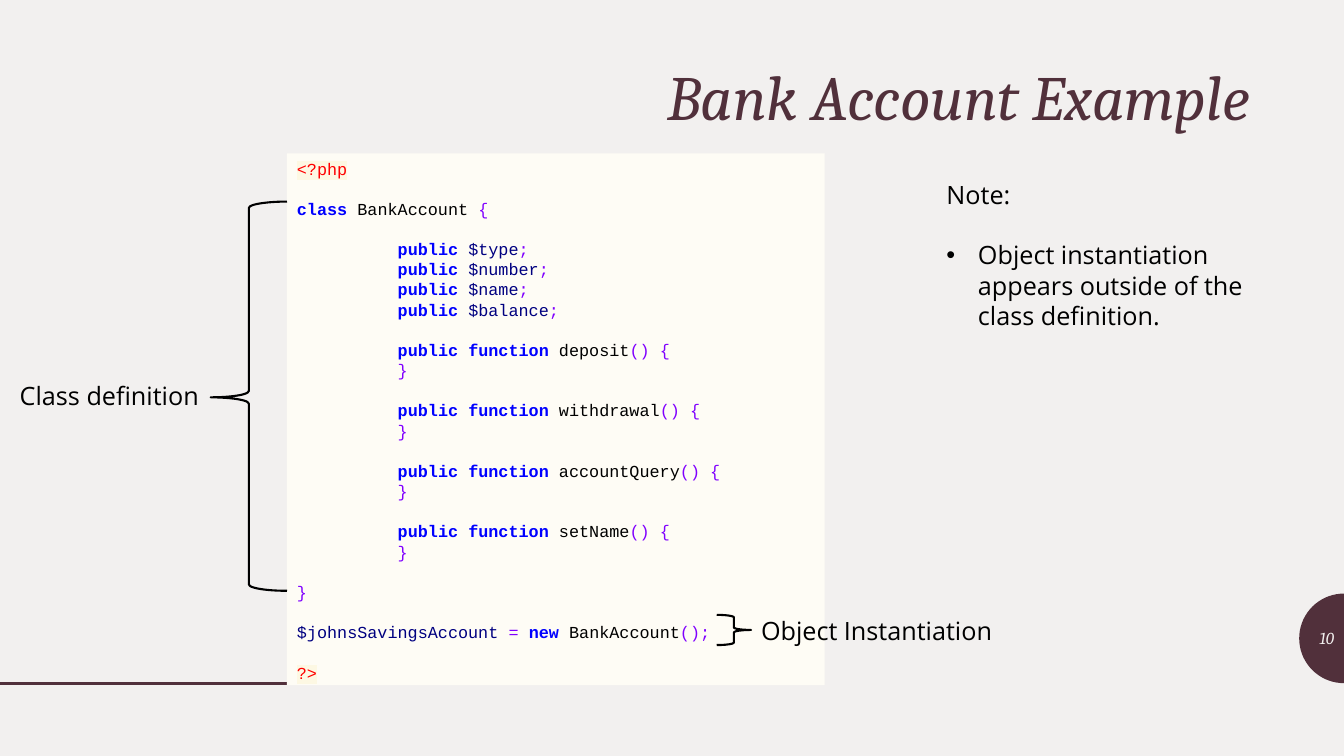
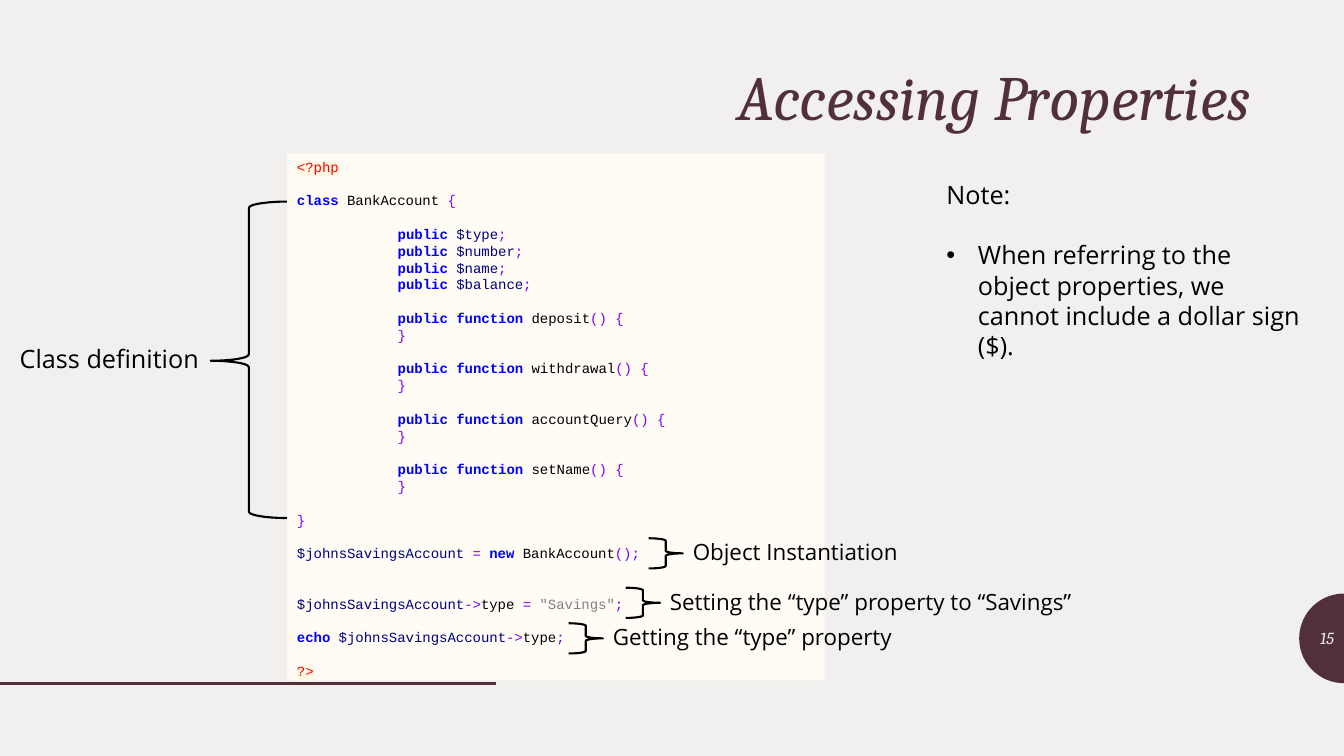
from itertools import groupby
from math import cos, radians, sin

from lxml.etree import SubElement
from pptx import Presentation
from pptx.dml.color import RGBColor
from pptx.enum.shapes import MSO_CONNECTOR, MSO_SHAPE
from pptx.enum.text import MSO_ANCHOR, PP_ALIGN
from pptx.oxml import parse_xml
from pptx.oxml.ns import nsdecls, qn
from pptx.util import Pt

PLUM = RGBColor(0x51, 0x30, 0x3B)
PAPER = RGBColor(0xF2, 0xF0, 0xEF)
CREAM = RGBColor(0xFE, 0xFC, 0xF5)
TAG_HIGHLIGHT = RGBColor(0xFD, 0xF8, 0xE3)
BLACK = RGBColor(0, 0, 0)
TAG_RED = RGBColor(0xFF, 0, 0)
KEYWORD_BLUE = RGBColor(0, 0, 0xFF)
VARIABLE_NAVY = RGBColor(0, 0, 0x80)
SYMBOL_PURPLE = RGBColor(0x80, 0, 0xFF)
STRING_GREY = RGBColor(0x80, 0x80, 0x80)

TITLE_FONT, CODE_FONT, NOTE_FONT = "Cambria", "Courier New", "Open Sans"
LINE_HEIGHT = 1.2
CODE_INDENT = 72
KEYWORDS = {"class", "public", "function", "new", "echo"}
TAGS = {"<?php", "?>"}

CLASS_CODE = """<?php

class BankAccount {

\tpublic $type;
\tpublic $number;
\tpublic $name;
\tpublic $balance;

\tpublic function deposit() {
\t}

\tpublic function withdrawal() {
\t}

\tpublic function accountQuery() {
\t}

\tpublic function setName() {
\t}

}

$johnsSavingsAccount = new BankAccount();
"""
CLOSING_CODE = """
?>"""
ACCESS_CODE = """

$johnsSavingsAccount->type = "Savings";

echo $johnsSavingsAccount->type;
"""


def char_kind(char):
    if char.isspace():
        return "space"
    return "word" if char.isalnum() or char in '$"' else "symbol"


def tokenize(line):
    if line in TAGS:
        return [(line, TAG_RED)]
    tokens = []
    for kind, chars in groupby(line, char_kind):
        token = "".join(chars)
        if kind == "symbol":
            colour = SYMBOL_PURPLE
        elif token in KEYWORDS:
            colour = KEYWORD_BLUE
        else:
            colour = {"$": VARIABLE_NAVY, '"': STRING_GREY}.get(token[0], BLACK)
        tokens.append((token, colour))
    return tokens


class Deck:
    def __init__(self):
        self.prs = Presentation()
        self.prs.slide_width, self.prs.slide_height = Pt(960), Pt(540)
        self.slide = None

    def start(self, title, number):
        self.slide = self.prs.slides.add_slide(self.prs.slide_layouts[6])
        background = self.slide.background.fill
        background.solid()
        background.fore_color.rgb = PAPER
        self.number_tab()
        self.rule()
        heading = self.text(title, 60, 44, 840, 54.5, 45, TITLE_FONT, PLUM,
                            italic=True, align=PP_ALIGN.RIGHT)
        heading.paragraphs[0].line_spacing = 0.9
        self.number = number

    def number_tab(self):
        arc = [(Pt(960 + 32 * cos(radians(a))), Pt(456 - 32 * sin(radians(a))))
               for a in range(90, 271, 5)]
        builder = self.slide.shapes.build_freeform(*arc[0])
        builder.add_line_segments(arc[1:], close=True)
        tab = builder.convert_to_shape()
        tab.shadow.inherit = False
        tab.fill.solid()
        tab.fill.fore_color.rgb = PLUM
        tab.line.fill.background()

    def rule(self):
        rule = self.slide.shapes.add_connector(
            MSO_CONNECTOR.STRAIGHT, 0, Pt(488), Pt(354), Pt(488))
        rule.line.color.rgb = PLUM
        rule.line.width = Pt(2)
        SubElement(rule._element.spPr, qn("a:effectLst"))

    def page_number(self):
        self.text(str(self.number), 928, 441.5, 32, 28.8, 12, TITLE_FONT, PAPER,
                  italic=True, align=PP_ALIGN.RIGHT)

    def style(self, run, size, font, colour, bold=False, italic=False):
        run.font.size = Pt(size)
        run.font.name = font
        run.font.color.rgb = colour
        run.font.bold = bold
        run.font.italic = italic

    def text(self, words, left, top, width, height, size, font=NOTE_FONT,
             colour=BLACK, italic=False, align=PP_ALIGN.LEFT, wrap=True):
        box = self.slide.shapes.add_textbox(Pt(left), Pt(top), Pt(width), Pt(height))
        frame = box.text_frame
        frame.word_wrap = wrap
        frame.vertical_anchor = MSO_ANCHOR.MIDDLE
        frame.text = words
        for paragraph in frame.paragraphs:
            paragraph.alignment = align
            for run in paragraph.runs:
                self.style(run, size, font, colour, italic=italic)
        return frame

    def code(self, source, height, size):
        panel = self.slide.shapes.add_shape(
            MSO_SHAPE.RECTANGLE, Pt(205), Pt(109.5), Pt(384), Pt(height))
        panel.shadow.inherit = False
        panel.fill.solid()
        panel.fill.fore_color.rgb = CREAM
        panel.line.fill.background()
        frame = panel.text_frame
        frame.word_wrap = True
        frame.vertical_anchor = MSO_ANCHOR.TOP
        paragraph, gap = frame.paragraphs[0], 0
        for index, line in enumerate(source.split("\n")):
            if not line:
                gap += 1
                continue
            if index:
                paragraph = frame.add_paragraph()
            paragraph.alignment = PP_ALIGN.LEFT
            paragraph.space_before = Pt(gap * size * LINE_HEIGHT)
            gap = 0
            if line.startswith("\t"):
                paragraph._p.get_or_add_pPr().set("marL", str(Pt(CODE_INDENT)))
            for token, colour in tokenize(line.strip()):
                run = paragraph.add_run()
                run.text = token
                self.style(run, size, CODE_FONT, colour, bold=token in KEYWORDS)
                if token in TAGS:
                    self.highlight(run)

    def highlight(self, run):
        run.font._element.find(qn("a:solidFill")).addnext(parse_xml(
            f'<a:highlight {nsdecls("a")}><a:srgbClr val="{TAG_HIGHLIGHT}"/></a:highlight>'))

    def note(self, words):
        size = 18
        frame = self.text(f"Note:\n{words}", 669, 124.5, 268.5, 116.5, size)
        frame.vertical_anchor = MSO_ANCHOR.TOP
        bullet = frame.paragraphs[1]
        bullet.space_before = Pt(size * LINE_HEIGHT)
        props = bullet._p.get_or_add_pPr()
        props.set("marL", str(Pt(22.5)))
        props.set("indent", str(-Pt(22.5)))
        SubElement(props, qn("a:buFont")).set("typeface", "Arial")
        SubElement(props, qn("a:buChar")).set("char", "•")

    def brace(self, kind, left, top, width, height):
        brace = self.slide.shapes.add_shape(kind, Pt(left), Pt(top), Pt(width), Pt(height))
        brace.shadow.inherit = False
        brace.fill.background()
        brace.line.color.rgb = BLACK
        brace.line.width = Pt(1.5)
        return brace

    def class_brace(self, height):
        top, middle = 144, 0.503
        brace = self.brace(MSO_SHAPE.LEFT_BRACE, 150.5, top, 54.5, height)
        brace.adjustments[0] = 0.083
        brace.adjustments[1] = middle
        self.text("Class definition", 7, top + height * middle - 16, 143.5, 28.8, 18,
                  wrap=False)

    def line_brace(self, words, left, top, label_width, size):
        self.brace(MSO_SHAPE.RIGHT_BRACE, left, top, 24.5, 21.6)
        self.text(words, left + 24.5, top - 3.6, label_width,
                  size * LINE_HEIGHT + 7.2, size, wrap=False)


def main():
    deck = Deck()

    deck.start("Bank Account Example", 10)
    deck.code(CLASS_CODE + CLOSING_CODE, 380, 12)
    deck.page_number()
    deck.note("Object instantiation appears outside of the class definition.")
    deck.line_brace("Object Instantiation", 512, 439.2, 181, 18)
    deck.class_brace(278)

    deck.start("Accessing Properties", 15)
    deck.code(CLASS_CODE + ACCESS_CODE + CLOSING_CODE, 376.5, 10)
    deck.page_number()
    deck.note("When referring to the object properties, we cannot include a dollar sign ($).")
    deck.class_brace(226)
    for words, left, top, width in (
        ("Object Instantiation", 463.3, 384.5, 163),
        ("Setting the “type” property to “Savings”", 447, 419.8, 304.5),
        ("Getting the “type” property", 406.2, 445.2, 216),
    ):
        deck.line_brace(words, left, top, width, 16)

    deck.prs.save("out.pptx")


if __name__ == "__main__":
    main()
